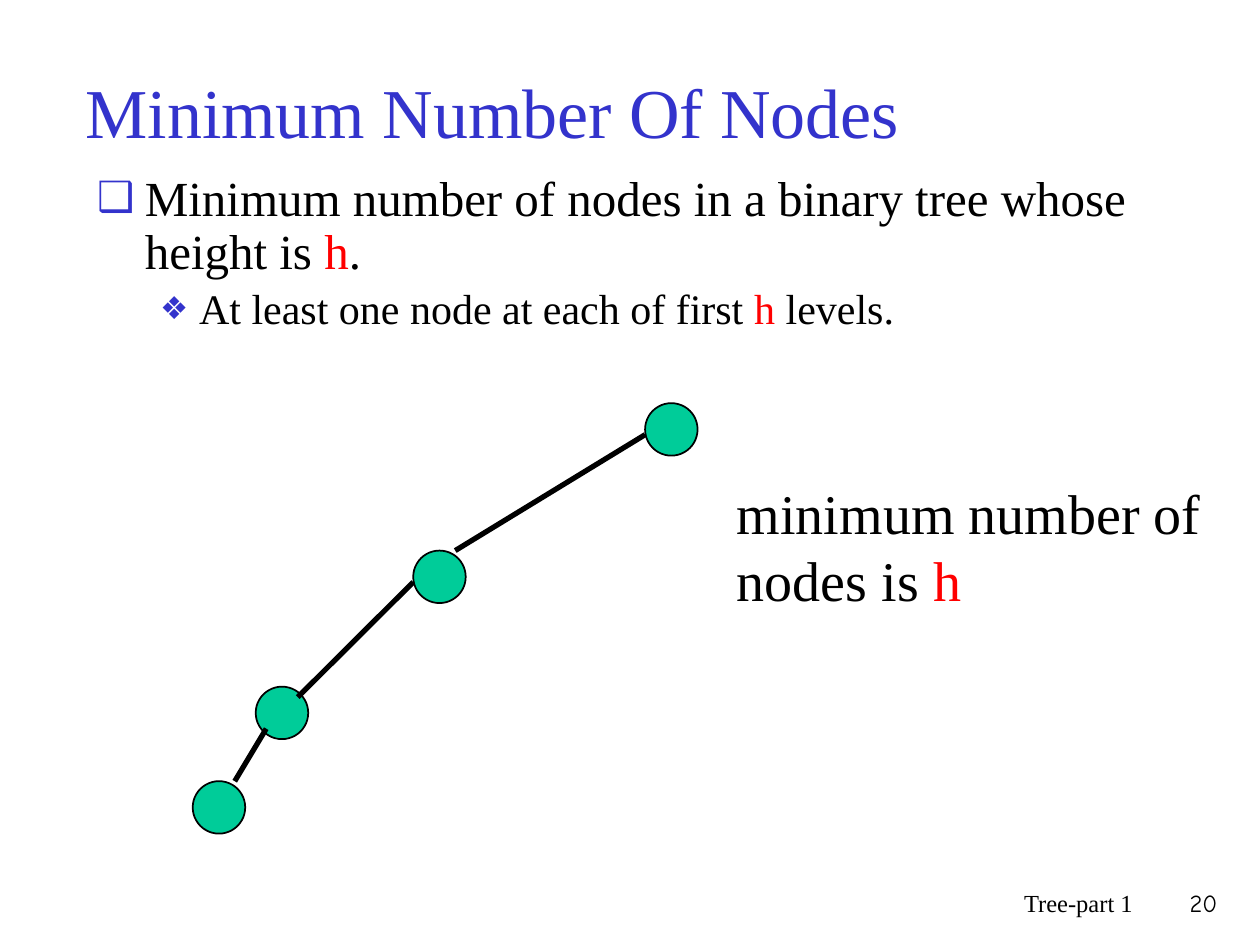
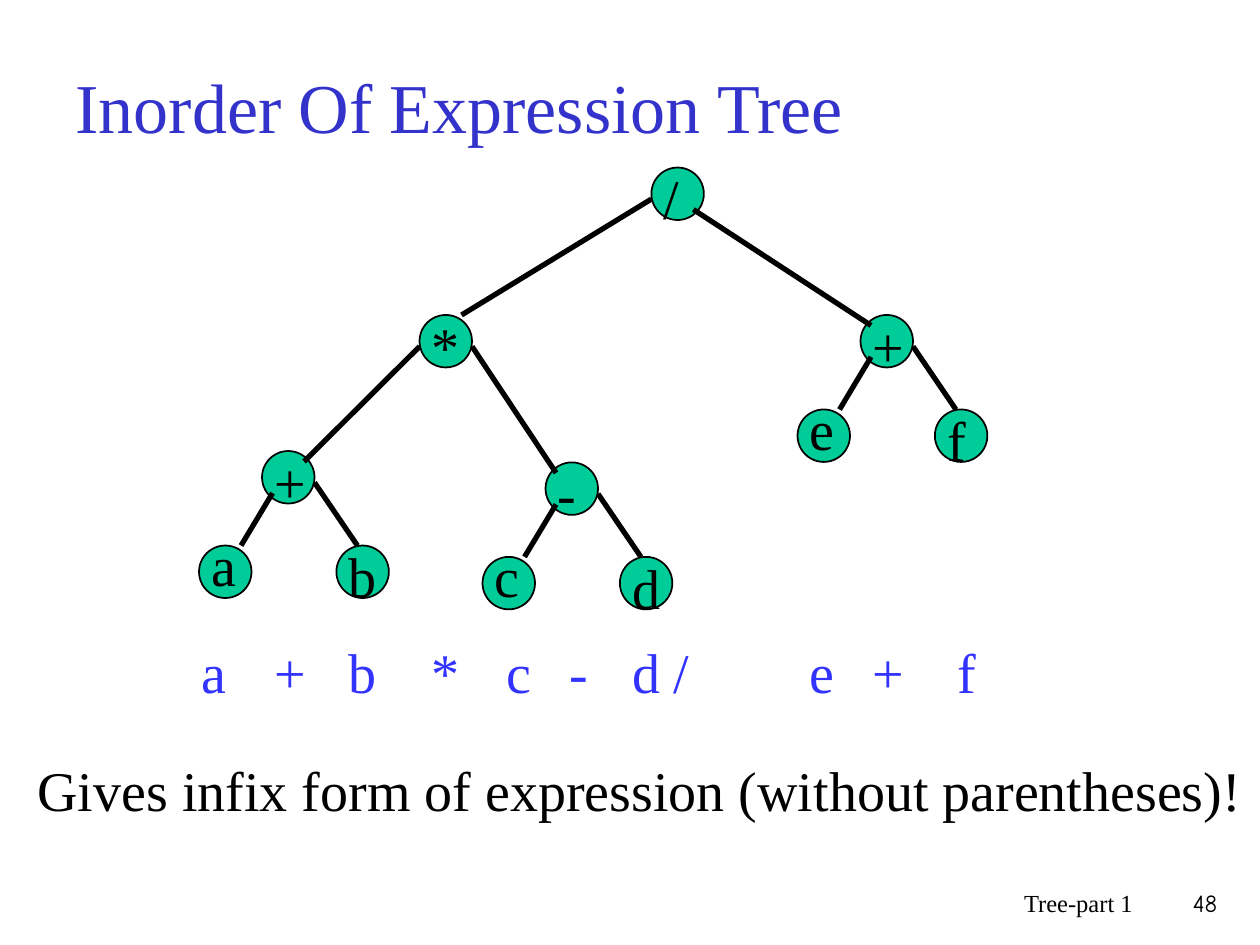
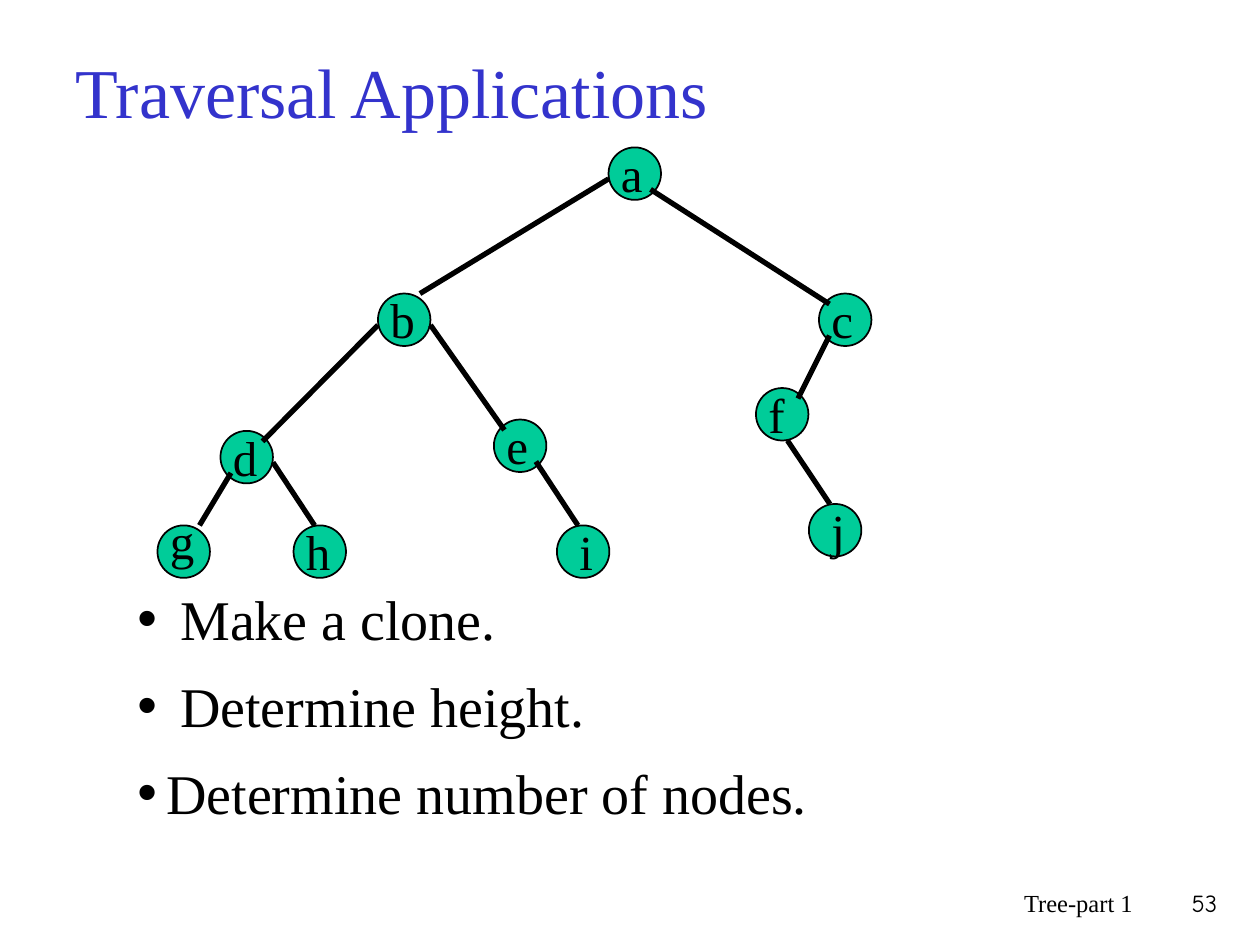
from dataclasses import dataclass

from lxml import etree
from pptx import Presentation
from pptx import util as u
from pptx.dml.color import RGBColor
from pptx.enum import shapes, text
from pptx.oxml import ns


@dataclass(frozen=True)
class Theme:
    title: str = "3333CC"
    ink: str = "000000"
    hot: str = "FF0000"
    node: str = "00CC99"
    answer: str = "3333FF"
    serif: str = "Times New Roman"
    comic: str = "Comic Neue"
    head: int = 40
    big: int = 32
    mid: int = 28
    sub: int = 24
    foot: int = 14


T = Theme()
UNIT = 1 / 12  # grid step of the trees, in inches
DISC = 5 * UNIT

# Edge ends, in grid steps from the corner of a node
PORTS = {
    "west": (0, 3), "east": (5, 3), "sw": (1, 4), "se": (4, 4), "base": (3, 5),
    "ne": (4, 1), "nw": (1, 1), "topr": (4, 0), "top": (2, 0),
}


def put(obj, **fmt):
    for key, val in fmt.items():
        setattr(obj, key, val)


def place(shape, box):
    names = ("left", "top", "width", "height")
    put(shape, **{n: u.Inches(v) for n, v in zip(names, box)})


def write(para, parts, size, font=T.serif, tint=T.ink):
    """Fill a paragraph from strings, or (string, colour) pairs."""
    for part in [parts] if isinstance(parts, str) else parts:
        words, hue = (part, tint) if isinstance(part, str) else part
        run = para.add_run()
        run.text = words
        put(run.font, size=u.Pt(size), name=font)
        run.font.color.rgb = RGBColor.from_string(hue)


def bullet(para, mark, indent, hang, tint, scale=100):
    props = para._p.get_or_add_pPr()
    props.set("marL", str(u.Inches(indent)))
    props.set("indent", str(-u.Inches(hang)))
    hue = etree.SubElement(props, ns.qn("a:buClr"))
    etree.SubElement(hue, ns.qn("a:srgbClr"), val=tint)
    etree.SubElement(props, ns.qn("a:buSzPct"), val=str(scale * 1000))
    etree.SubElement(props, ns.qn("a:buChar"), char=mark)


def label(slide, box, parts, size, align=text.PP_ALIGN.LEFT, **style):
    shape = slide.shapes.add_textbox(*map(u.Inches, box))
    shape.text_frame.word_wrap = True
    para = shape.text_frame.paragraphs[0]
    para.alignment = align
    write(para, parts, size, **style)


def start(deck, kind, title, box, page):
    """Add a slide with its title and footer."""
    slide = deck.slides.add_slide(deck.slide_layouts.get_by_name(kind))
    head = slide.shapes.title
    place(head, box)
    put(head.text_frame, vertical_anchor=text.MSO_ANCHOR.MIDDLE,
        auto_size=text.MSO_AUTO_SIZE.NONE)
    para = head.text_frame.paragraphs[0]
    para.alignment = text.PP_ALIGN.LEFT
    write(para, title, T.head, tint=T.title)
    right = text.PP_ALIGN.RIGHT
    label(slide, (5.92, 7, 3.17, 0.5), "Tree-part 1", T.foot, right)
    label(slide, (9.08, 7, 0.68, 0.5), page, T.foot, right, font=T.comic)
    return slide


def fill_list(slide, box, items, spacing):
    """Write items of (parts, size, level, space before, bullet values)."""
    body = slide.placeholders[1]
    place(body, box)
    frame = body.text_frame
    put(frame, auto_size=text.MSO_AUTO_SIZE.NONE,
        vertical_anchor=text.MSO_ANCHOR.TOP)
    for i, (parts, size, level, gap, mark) in enumerate(items):
        para = frame.add_paragraph() if i else frame.paragraphs[0]
        bullet(para, *mark)
        put(para, level=level, line_spacing=spacing,
            space_before=u.Pt(gap if i else 0))
        write(para, parts, size)


def disc(slide, x, y):
    shape = slide.shapes.add_shape(
        shapes.MSO_SHAPE.OVAL, *map(u.Inches, (x, y, DISC, DISC)))
    shape.shadow.inherit = False
    shape.fill.solid()
    shape.fill.fore_color.rgb = RGBColor.from_string(T.node)
    shape.line.color.rgb = RGBColor.from_string(T.ink)
    shape.line.width = u.Pt(1)


def edge(slide, tail, tip):
    line = slide.shapes.add_connector(
        shapes.MSO_CONNECTOR.STRAIGHT, *map(u.Inches, tail + tip))
    line.line.color.rgb = RGBColor.from_string(T.ink)
    line.line.width = u.Pt(3)
    etree.SubElement(line._element.spPr, ns.qn("a:effectLst"))


def port(node, name):
    return tuple(at + step * UNIT for at, step in zip(node, PORTS[name]))


def tree(slide, nodes, edges, size=T.big, box=None):
    """Draw nodes, then edges; box gives the label size, if labels show.

    A node is x, y and, where its label is moved, the label's offset.
    The first letter of a node's key is its label.
    """
    for key, (x, y, *move) in nodes.items():
        disc(slide, x, y)
        if box:
            dx, dy = move or (0, -0.08)
            label(slide, (x + dx, y + dy, *box), key[0], size)
    for top, low, out, into in edges:
        edge(slide, port(nodes[top][:2], out), port(nodes[low][:2], into))


def minimum(deck):
    slide = start(deck, "Title and Content", "Minimum Number Of Nodes",
                  (0.58, 0.25, 8.5, 1.25), "20")
    h = ("h", T.hot)
    fill_list(slide, (0.67, 1.33, 8.5, 1.17), [
        (["Minimum number of nodes in a binary tree whose height is ", h, "."],
         T.mid, 0, 0, ("❑", 0.38, 0.38, T.title, 85)),
        (["At least one node at each of first ", h, " levels."],
         T.sub, 1, 5, ("❖", 0.81, 0.31, T.title, 75)),
    ], 0.9)
    tree(slide, {
        "root": (5.12, 3.2), "second": (3.28, 4.37),
        "third": (2.03, 5.45), "leaf": (1.53, 6.2),
    }, [
        ("root", "second", "west", "topr"),
        ("second", "third", "west", "ne"),
        ("third", "leaf", "sw", "topr"),
    ])
    label(slide, (5.75, 3.75, 3.92, 1.17),
          ["minimum number of nodes is ", h], T.big)


def inorder(deck):
    slide = start(deck, "Title Only", "Inorder Of Expression Tree",
                  (0.5, 0.3, 9, 1.08), "48")
    high = (0, -0.17)
    box = (0.42, 0.63)
    tree(slide, {
        "/": (5.17, 1.33), "*": (3.33, 2.5), "+ left": (2.08, 3.58),
        "-": (4.33, 3.67), "+ right": (6.83, 2.5),
        "a": (1.58, 4.33, *high), "b": (2.67, 4.33),
        "c": (3.83, 4.42, *high), "d": (4.92, 4.42),
        "e": (6.33, 3.25, *high), "f": (7.42, 3.25),
    }, [
        ("/", "*", "west", "topr"), ("/", "+ right", "se", "nw"),
        ("*", "+ left", "west", "ne"), ("*", "-", "east", "nw"),
        ("+ left", "a", "sw", "topr"), ("+ left", "b", "east", "top"),
        ("-", "c", "sw", "topr"), ("-", "d", "east", "top"),
        ("+ right", "e", "sw", "topr"), ("+ right", "f", "east", "top"),
    ], T.big, box)
    spots = (1.5, 2.08, 2.67, 3.33, 3.92, 4.42, 4.92, 5.25, 6.33, 6.83, 7.5)
    for sign, x in zip("a+b*c-d/e+f", spots):
        label(slide, (x, 5.01, *box), sign, T.big, tint=T.answer)
    label(slide, (0.2, 5.95, 9.8, 0.63),
          "Gives infix form of expression (without parentheses)!", T.big)


def uses(deck):
    slide = start(deck, "Title and Content", "Traversal Applications",
                  (0.5, 0.3, 9, 0.83), "53")
    tree(slide, {
        "a": (4.83, 1.17), "b": (3, 2.33), "c": (6.5, 2.33),
        "d": (1.75, 3.42), "e": (3.92, 3.33), "f": (6, 3.08),
        "g": (1.25, 4.17, 0, -0.17), "h": (2.33, 4.17),
        "i": (4.42, 4.17, 0.08, -0.08), "j": (6.42, 4, 0.08, -0.08),
    }, [
        ("a", "b", "west", "topr"), ("a", "c", "se", "nw"),
        ("b", "d", "west", "ne"), ("b", "e", "east", "nw"),
        ("c", "f", "sw", "ne"), ("f", "j", "base", "top"),
        ("d", "g", "sw", "topr"), ("d", "h", "east", "top"),
        ("e", "i", "se", "top"),
    ], T.mid, (0.83, 0.57))
    jobs = (("Make a clone.", 0.34), ("Determine height.", 0.34),
            ("Determine number of nodes.", 0.23))
    fill_list(slide, (0.99, 4.67, 7.08, 1.99), [
        (job, T.big, 0, 17, ("•", hang, hang, T.ink)) for job, hang in jobs
    ], 0.85)


def main():
    deck = Presentation()
    put(deck, slide_width=u.Inches(10), slide_height=u.Inches(7.5))
    for build in (minimum, inorder, uses):
        build(deck)
    deck.save("out.pptx")


if __name__ == "__main__":
    main()
